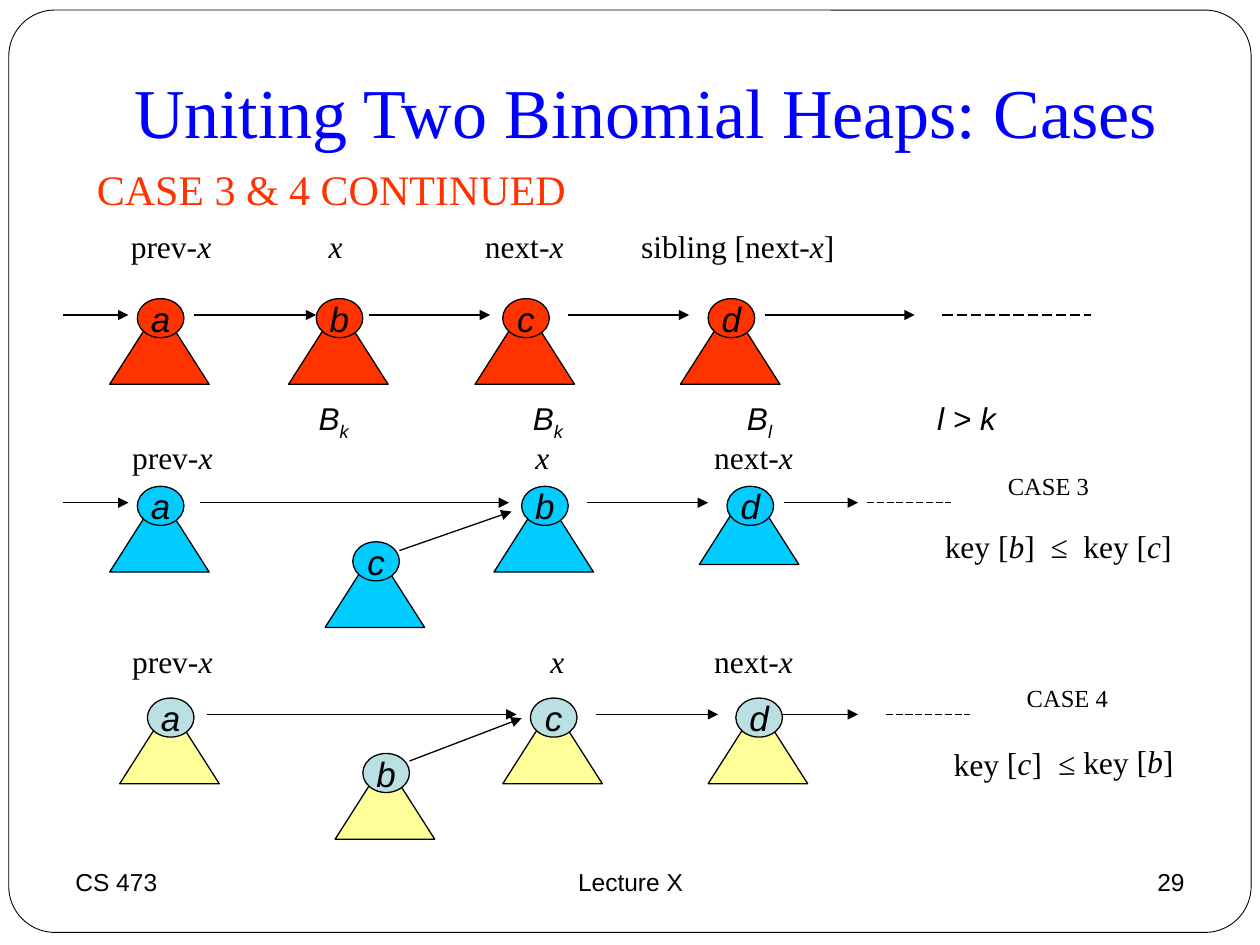
"""Build the slide on uniting two binomial heaps, cases 3 and 4."""
from dataclasses import dataclass

from lxml import etree
from pptx import Presentation
from pptx.dml.color import RGBColor
from pptx.enum.dml import MSO_LINE
from pptx.enum.shapes import MSO_CONNECTOR, MSO_SHAPE
from pptx.enum.text import MSO_ANCHOR, PP_ALIGN
from pptx.oxml.ns import qn
from pptx.shapes.autoshape import Shape
from pptx.slide import Slide
from pptx.text.text import TextFrame
from pptx.util import Inches, Pt

LEFT, CENTER, RIGHT = PP_ALIGN.LEFT, PP_ALIGN.CENTER, PP_ALIGN.RIGHT
TOP, MIDDLE = MSO_ANCHOR.TOP, MSO_ANCHOR.MIDDLE
OVAL, TRIANGLE, FRAME = MSO_SHAPE.OVAL, MSO_SHAPE.ISOSCELES_TRIANGLE, MSO_SHAPE.ROUNDED_RECTANGLE
STRAIGHT, LONG_DASH = MSO_CONNECTOR.STRAIGHT, MSO_LINE.LONG_DASH
SERIF, SANS = "Times New Roman", "Arial"
BLACK, WHITE, BLUE, RED = "000000", "FFFFFF", "0000FF", "FF3300"
CYAN, YELLOW, PALE_TEAL = "00CCFF", "FFFF99", "BBE0E3"
Box = tuple[float, float, float, float]


@dataclass
class Tree:
    """A binomial tree: a root circle in front of a triangle."""
    name: str
    left: float
    top: float
    drop: float = 0.06


@dataclass
class HeapRow:
    """One root list with its colours, trees, arrows and dashed continuation."""
    root_color: str
    body_color: str
    trees: list[Tree]
    arrows: list[Box]
    dashes: Box
    dash_width: float = 0.5


@dataclass
class Label:
    """A text with its box, tab stops and size."""
    text: str
    box: Box
    tabs: tuple[float, ...] = ()
    size: int = 18
    font: str = SERIF
    rotation: float = 0


ROWS = [
    HeapRow(
        RED, RED,
        [Tree("a", 1.09, 2.37), Tree("b", 2.51, 2.37), Tree("c", 3.99, 2.37), Tree("d", 5.62, 2.37)],
        [(0.5, 2.5, 1.02, 2.5), (1.54, 2.5, 2.51, 2.5), (2.93, 2.5, 3.89, 2.5),
         (4.51, 2.5, 5.47, 2.5), (6.07, 2.5, 7.26, 2.5)],
        (7.48, 2.5, 8.66, 2.5), 0.75),
    HeapRow(
        CYAN, CYAN,
        [Tree("a", 1.09, 3.86), Tree("c", 2.8, 4.3), Tree("b", 4.14, 3.86), Tree("d", 5.77, 3.86, 0)],
        [(0.5, 3.99, 1.02, 3.99), (1.59, 3.99, 4.04, 3.99), (3.17, 4.37, 4.06, 4.06),
         (4.66, 3.99, 5.62, 3.99), (6.22, 3.99, 6.81, 3.99)],
        (6.88, 3.99, 7.55, 3.99)),
    HeapRow(
        PALE_TEAL, YELLOW,
        [Tree("a", 1.17, 5.54), Tree("b", 2.88, 5.98), Tree("c", 4.21, 5.54), Tree("d", 5.84, 5.54)],
        [(1.64, 5.67, 4.1, 5.67), (3.25, 6.04, 4.14, 5.7), (4.73, 5.67, 5.7, 5.67),
         (6.21, 5.67, 6.81, 5.67)],
        (7.03, 5.67, 7.7, 5.67)),
]

LABELS = [
    Label("prev-*x*\t*x*\tnext-*x*\tsibling [next-*x*]", (0.94, 1.75, 6.93, 0.4), (1.57, 2.81, 4.05)),
    Label("*B~k~\tB~k~\tB~l~\tl > k*", (2.43, 3.12, 5.92, 0.44), (1.7, 3.4, 4.91), font=SANS),
    Label("prev-*x*\t*x*\tnext-*x*", (0.95, 3.43, 6.09, 0.4), (3.2, 4.62)),
    Label("CASE 3", (7.9, 3.69, 1.21, 0.34), size=14),
    Label("key [*b*]\t≤\tkey [*c*]", (7.4, 4.13, 2.26, 0.4), (0.84, 1.1)),
    Label("prev-*x*\t*x*\tnext-*x*", (0.95, 5.05, 6.09, 0.4), (3.32, 4.62)),
    Label("CASE 4", (8.05, 5.37, 1.21, 0.34), size=14),
    Label("key [*c*]\t≤ key [*b*]", (7.47, 5.85, 2.11, 0.4), (0.83,), rotation=359),
]


def color(value: str) -> RGBColor:
    """Turn a hex string into a colour."""
    return RGBColor.from_string(value)


def write_text(frame: TextFrame, text: str, *, size: int = 18, font: str = SERIF, fill: str = BLACK,
               align: PP_ALIGN = LEFT, anchor: MSO_ANCHOR = TOP, wrap: bool = True,
               tabs: tuple[float, ...] = ()) -> None:
    """Write one paragraph, with *italic* and ~subscript~ marks."""
    frame.word_wrap = wrap
    frame.vertical_anchor = anchor
    paragraph = frame.paragraphs[0]
    paragraph.alignment = align
    if tabs:
        tab_list = etree.SubElement(paragraph._p.get_or_add_pPr(), qn("a:tabLst"))
        for position in tabs:
            etree.SubElement(tab_list, qn("a:tab"), pos=str(Inches(position)), algn="l")
    for style_index, styled in enumerate(text.split("*")):
        for level_index, piece in enumerate(styled.split("~")):
            if not piece:
                continue
            run = paragraph.add_run()
            run.text = piece
            run.font.name = font
            run.font.size = Pt(size)
            run.font.italic = style_index % 2 == 1
            run.font.color.rgb = color(fill)
            if level_index % 2:
                run._r.get_or_add_rPr().set("baseline", "-25000")


def add_label(slide: Slide, text: str, box: Box, rotation: float = 0, **text_format) -> None:
    """Add a text box."""
    shape = slide.shapes.add_textbox(*map(Inches, box))
    shape.rotation = rotation
    write_text(shape.text_frame, text, **text_format)


def add_outlined(slide: Slide, kind: MSO_SHAPE, box: Box, fill: str, width: float = 0.75) -> Shape:
    """Add a filled preset shape with a black outline."""
    shape = slide.shapes.add_shape(kind, *map(Inches, box))
    shape.shadow.inherit = False
    shape.fill.solid()
    shape.fill.fore_color.rgb = color(fill)
    shape.line.color.rgb = color(BLACK)
    shape.line.width = Pt(width)
    return shape


def add_line(slide: Slide, ends: Box, width: float = 0.75, dashed: bool = False) -> None:
    """Add a dashed line, or a solid arrow."""
    connector = slide.shapes.add_connector(STRAIGHT, *map(Inches, ends))
    connector.line.color.rgb = color(BLACK)
    connector.line.width = Pt(width)
    properties = connector._element.spPr
    if dashed:
        connector.line.dash_style = LONG_DASH
    else:
        etree.SubElement(properties.find(qn("a:ln")), qn("a:tailEnd"), type="triangle")
    etree.SubElement(properties, qn("a:effectLst"))


def add_tree(slide: Slide, tree: Tree, root_color: str, body_color: str) -> None:
    """Add the triangle and then the named root circle."""
    add_outlined(slide, TRIANGLE, (tree.left - 0.22, tree.top + tree.drop, 0.79, 0.62), body_color)
    root = add_outlined(slide, OVAL, (tree.left, tree.top, 0.37, 0.31), root_color)
    write_text(root.text_frame, f"*{tree.name}*", size=20, font=SANS, align=CENTER,
               anchor=MIDDLE, wrap=False)


def add_row(slide: Slide, row: HeapRow) -> None:
    """Add the lines and trees of one root list."""
    for ends in row.arrows:
        add_line(slide, ends)
    add_line(slide, row.dashes, row.dash_width, dashed=True)
    for tree in row.trees:
        add_tree(slide, tree, row.root_color, row.body_color)


def main() -> None:
    """Build and save the slide."""
    presentation = Presentation()
    presentation.slide_width, presentation.slide_height = Inches(10), Inches(7.5)
    slide = presentation.slides.add_slide(presentation.slide_layouts[6])
    frame = add_outlined(slide, FRAME, (0.07, 0.08, 9.86, 7.32), WHITE, 0.5)
    frame.adjustments[0] = 0.05
    for text, left, width, align in (("CS 473", 0.5, 2.33, LEFT), ("Lecture X", 3.42, 3.17, CENTER),
                                     ("29", 7.17, 2.33, RIGHT)):
        add_label(slide, text, (left, 6.83, width, 0.52), size=14, font=SANS, align=align)
    for row in ROWS:
        add_row(slide, row)
    for label in LABELS:
        add_label(slide, label.text, label.box, label.rotation, size=label.size, font=label.font,
                  tabs=label.tabs)
    add_label(slide, "Uniting Two Binomial Heaps: Cases", (0.5, 0.25, 9.25, 1.25), size=40, fill=BLUE,
              align=CENTER, anchor=MIDDLE)
    add_label(slide, "CASE 3 & 4 CONTINUED", (0.67, 1.25, 4.5, 0.58), size=24, fill=RED)
    presentation.save("out.pptx")


if __name__ == "__main__":
    main()
